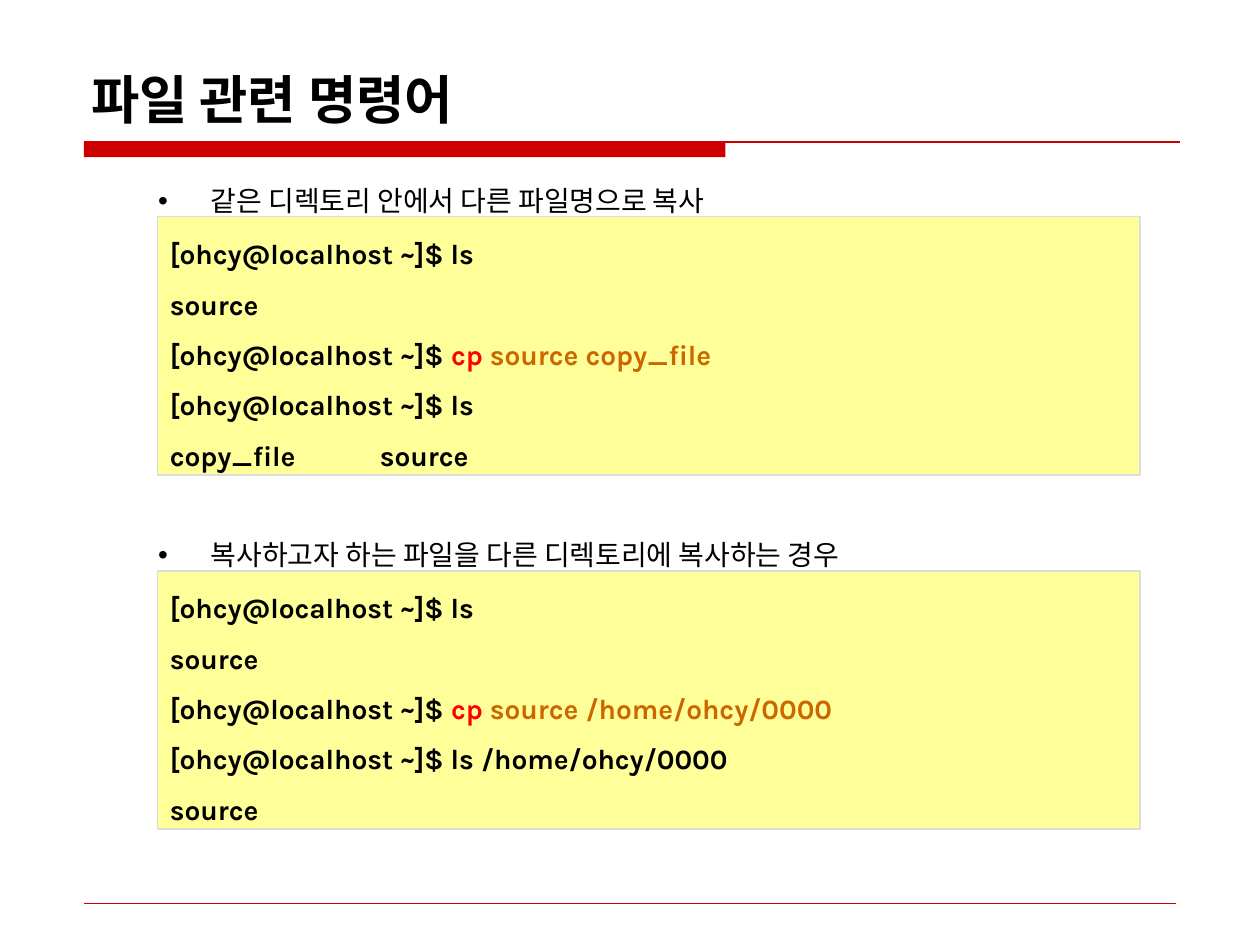
from lxml import etree
from pptx import Presentation
from pptx.dml.color import RGBColor
from pptx.enum import shapes, text
from pptx.oxml.ns import qn
from pptx.util import Pt

RED = RGBColor(0xCC, 0x00, 0x00)
BLACK = RGBColor(0x00, 0x00, 0x00)
YELLOW = RGBColor(0xFF, 0xFF, 0x99)
GREY = RGBColor(0xDD, 0xDD, 0xDD)
BRIGHT = RGBColor(0xFF, 0x00, 0x00)
ORANGE = RGBColor(0xCC, 0x66, 0x00)
LATIN = "Karla"
HANGUL = "Noto Sans CJK KR"
PROMPT = "[ohcy@localhost ~]$ "
PITCH = 202.3

PARTS = [
    ("같은 디렉토리 안에서 다른 파일명으로 복사",
     "source copy_file", "ls", "copy_file\tsource"),
    ("복사하고자 하는 파일을 다른 디렉토리에 복사하는 경우",
     "source /home/ohcy/0000", "ls /home/ohcy/0000", "source"),
]


def style(item, values):
    for name, value in values.items():
        setattr(item, name, value)


def write(para, words, color=BLACK, face=LATIN, size=16, bold=False):
    run = para.add_run()
    run.text = words
    style(run.font, {"name": face, "size": Pt(size), "bold": bold})
    run.font.color.rgb = color
    east = etree.SubElement(run.font._element, qn("a:ea"))
    east.set("typeface", HANGUL)


def rule(slide, left, top, width, weight):
    line = slide.shapes.add_connector(
        shapes.MSO_CONNECTOR.STRAIGHT,
        Pt(left), Pt(top), Pt(left + width), Pt(top))
    line.line.color.rgb = RED
    line.line.width = Pt(weight)
    etree.SubElement(line._element.spPr, qn("a:effectLst"))


def block(slide, left, top, width, height, fill):
    box = slide.shapes.add_shape(
        shapes.MSO_SHAPE.RECTANGLE, Pt(left), Pt(top), Pt(width), Pt(height))
    box.shadow.inherit = False
    box.fill.solid()
    box.fill.fore_color.rgb = fill
    return box


def label(slide, left, top, width, height, anchor):
    frame = slide.shapes.add_textbox(
        Pt(left), Pt(top), Pt(width), Pt(height)).text_frame
    style(frame, {"word_wrap": True, "vertical_anchor": anchor})
    return frame.paragraphs[0]


def header(slide, left, top, width, height):
    para = label(slide, left - 3, top, width, height, text.MSO_ANCHOR.BOTTOM)
    write(para, "파일 관련 명령어", face=HANGUL, size=30, bold=True)
    base = top + height + 3.2
    bar = block(slide, left, base, 366.5, 8.6, RED)
    bar.line.fill.background()
    rule(slide, left, base, 626.5, 0.75)


def bullet(slide, left, top, width, height, words):
    para = label(slide, left, top, width, height, text.MSO_ANCHOR.TOP)
    style(para, {"line_spacing": 1.3, "space_before": Pt(4)})
    props = para._p.get_or_add_pPr()
    props.set("marL", str(Pt(68.4)))
    props.set("indent", str(Pt(-30.2)))
    face = etree.SubElement(props, qn("a:buFont"))
    face.set("typeface", "Arial")
    mark = etree.SubElement(props, qn("a:buChar"))
    mark.set("char", "•")
    write(para, words)


def console(slide, left, top, width, height, lines):
    box = block(slide, left, top, width, height, YELLOW)
    box.line.color.rgb = GREY
    box.line.width = Pt(1)
    frame = box.text_frame
    style(frame, {"word_wrap": True,
                  "vertical_anchor": text.MSO_ANCHOR.MIDDLE})
    for index, runs in enumerate(lines):
        para = frame.add_paragraph() if index else frame.paragraphs[0]
        style(para, {"line_spacing": 1.5, "alignment": text.PP_ALIGN.LEFT})
        tabs = etree.SubElement(para._p.get_or_add_pPr(), qn("a:tabLst"))
        for step in range(1, 8):
            stop = etree.SubElement(tabs, qn("a:tab"))
            stop.set("pos", str(Pt(60 * step)))
            stop.set("algn", "l")
        for words, color in runs:
            write(para, words, color, bold=True)


def section(slide, left, top, width, height, part):
    head, args, check, result = part
    bullet(slide, left, top, width, 28, head)
    lines = [
        [(PROMPT + "ls", BLACK)],
        [("source", BLACK)],
        [(PROMPT, BLACK), ("cp ", BRIGHT), (args, ORANGE)],
        [(PROMPT + check, BLACK)],
        [(result, BLACK)],
    ]
    console(slide, left + 45, top + 28, width - 68.4, height - 28, lines)


def main():
    deck = Presentation()
    deck.slide_width, deck.slide_height = Pt(720), Pt(540)
    slide = deck.slides.add_slide(deck.slide_layouts[6])
    header(slide, 48, 24, 630, 54)
    for index, part in enumerate(PARTS):
        section(slide, 45, 95.8 + index * PITCH, 630, 175.6, part)
    rule(slide, 48, 516, 624, 0.25)
    deck.save("out.pptx")


if __name__ == "__main__":
    main()
